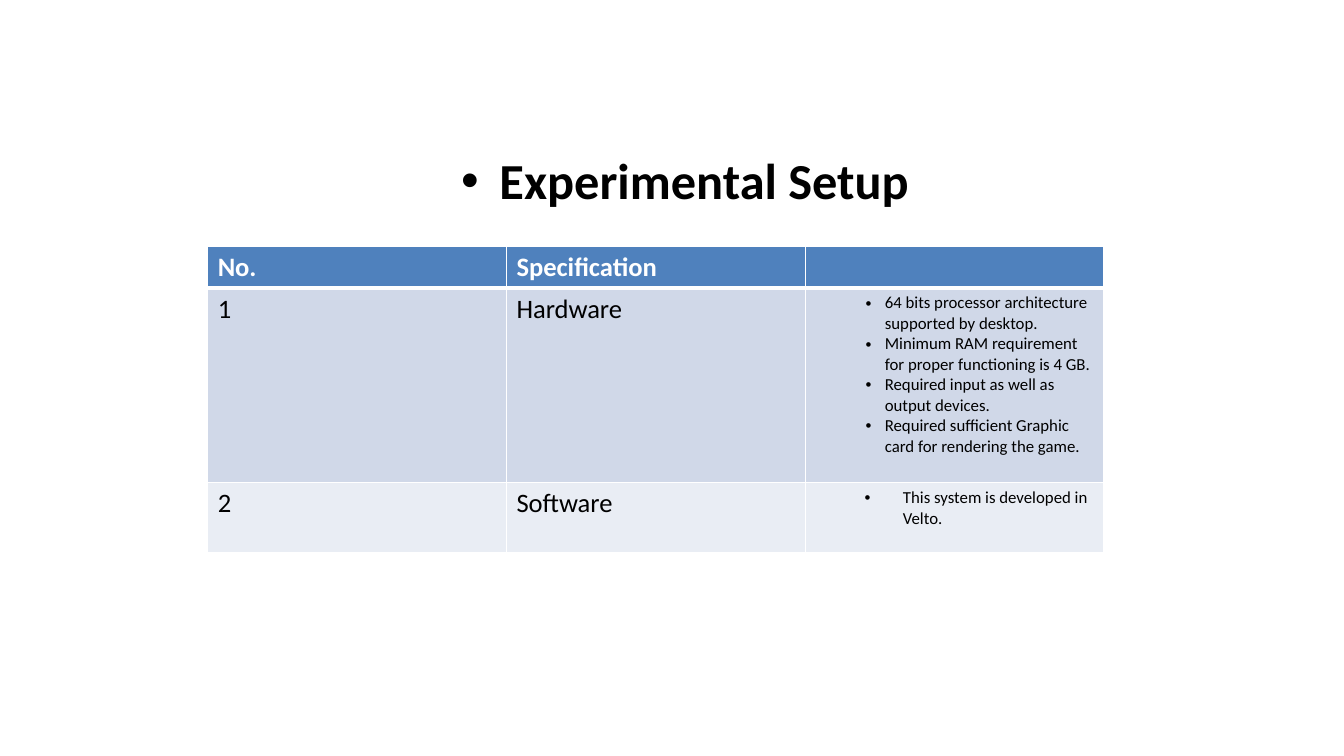
import pptx
import pptx.util
import pptx.dml.color
import pptx.enum.text
import lxml.etree
from pptx.oxml.ns import qn
from pptx.util import Inches, Pt

RGBColor = pptx.dml.color.RGBColor
WHITE = RGBColor(0xFF, 0xFF, 0xFF)
BLACK = RGBColor(0x00, 0x00, 0x00)
HEADER_BLUE = RGBColor(0x4F, 0x81, 0xBD)
ROW_FILLS = (RGBColor(0xD0, 0xD8, 0xE8), RGBColor(0xE9, 0xED, 0xF4))

HARDWARE = (
    "64 bits processor architecture supported by desktop.",
    "Minimum RAM requirement for proper functioning is 4 GB.",
    "Required input as well as output devices.",
    "Required sufficient Graphic card for rendering the game.",
)
SOFTWARE = ("This system is developed in Velto.",)


class SlideBuilder:
    """Draws titles and specification tables on one slide in a shared style."""

    def __init__(self, slide, font_name="Calibri"):
        self.slide = slide
        self.font_name = font_name

    def style(self, paragraph, size, color=BLACK, bold=False):
        font = paragraph.font
        font.name, font.size, font.bold = self.font_name, Pt(size), bold
        font.color.rgb = color

    def bullet(self, paragraph, margin, hanging):
        properties = paragraph._p.get_or_add_pPr()
        properties.set("marL", str(Inches(margin)))
        properties.set("indent", str(-Inches(hanging)))
        bullet_font = lxml.etree.Element(qn("a:buFont"), typeface="Arial")
        character = lxml.etree.Element(qn("a:buChar"), char="•")
        run_defaults = properties.find(qn("a:defRPr"))
        run_defaults.addprevious(bullet_font)
        run_defaults.addprevious(character)

    def title(self, text, left, top, width, height):
        shape = self.slide.shapes.add_textbox(
            Inches(left), Inches(top), Inches(width), Inches(height))
        frame = shape.text_frame
        frame.word_wrap = True
        frame.vertical_anchor = pptx.enum.text.MSO_ANCHOR.MIDDLE
        frame.margin_bottom = Inches(0.33)
        paragraph = frame.paragraphs[0]
        paragraph.text = text
        paragraph.alignment = pptx.enum.text.PP_ALIGN.CENTER
        paragraph.line_spacing = 1.06
        paragraph.space_after = Pt(8.8)
        self.style(paragraph, 36, bold=True)
        self.bullet(paragraph, 0.38, 0.38)

    def borders(self, cell, bottom_width):
        properties = cell._tc.get_or_add_tcPr()
        widths = {"lnL": 1, "lnR": 1, "lnT": 1, "lnB": bottom_width}
        for position, (side, width) in enumerate(widths.items()):
            line = lxml.etree.Element(qn(f"a:{side}"), w=str(Pt(width)))
            fill = lxml.etree.SubElement(line, qn("a:solidFill"))
            lxml.etree.SubElement(fill, qn("a:srgbClr"), val=str(WHITE))
            properties.insert(position, line)

    def cell(self, cell, text, fill, color=BLACK, bold=False, bottom_width=1):
        cell.fill.solid()
        cell.fill.fore_color.rgb = fill
        self.borders(cell, bottom_width)
        cell.text = text
        self.style(cell.text_frame.paragraphs[0], 19, color, bold)

    def bullet_cell(self, cell, items, fill, margin, hanging):
        self.cell(cell, "\n".join(items), fill)
        for paragraph in cell.text_frame.paragraphs:
            paragraph.level = 1
            self.style(paragraph, 12)
            self.bullet(paragraph, margin, hanging)

    def specification_table(self, left, top, width, row_heights, headers, rows):
        table = self.slide.shapes.add_table(
            len(row_heights), len(headers), Inches(left), Inches(top),
            Inches(width), Inches(sum(row_heights))).table
        for row, height in zip(table.rows, row_heights):
            row.height = Inches(height)
        for column, header in enumerate(headers):
            self.cell(table.cell(0, column), header, HEADER_BLUE, WHITE, True, 3)
        for number, (name, items, margin, hanging) in enumerate(rows, 1):
            fill = ROW_FILLS[(number - 1) % 2]
            self.cell(table.cell(number, 0), str(number), fill)
            self.cell(table.cell(number, 1), name, fill)
            self.bullet_cell(table.cell(number, 2), items, fill, margin, hanging)


def main():
    presentation = pptx.Presentation()
    presentation.slide_width = Inches(13.33)
    presentation.slide_height = Inches(7.5)
    slide = presentation.slides.add_slide(presentation.slide_layouts[6])
    builder = SlideBuilder(slide)
    builder.title("Experimental Setup", 0.47, 1.54, 12.65, 0.73)
    builder.specification_table(
        2.06, 2.44, 8.89, (0.41, 1.93, 0.7),
        ("No.", "Specification", ""),
        (("Hardware", HARDWARE, 0.69, 0.19), ("Software", SOFTWARE, 0.87, 0.38)))
    presentation.save("out.pptx")


if __name__ == "__main__":
    main()
